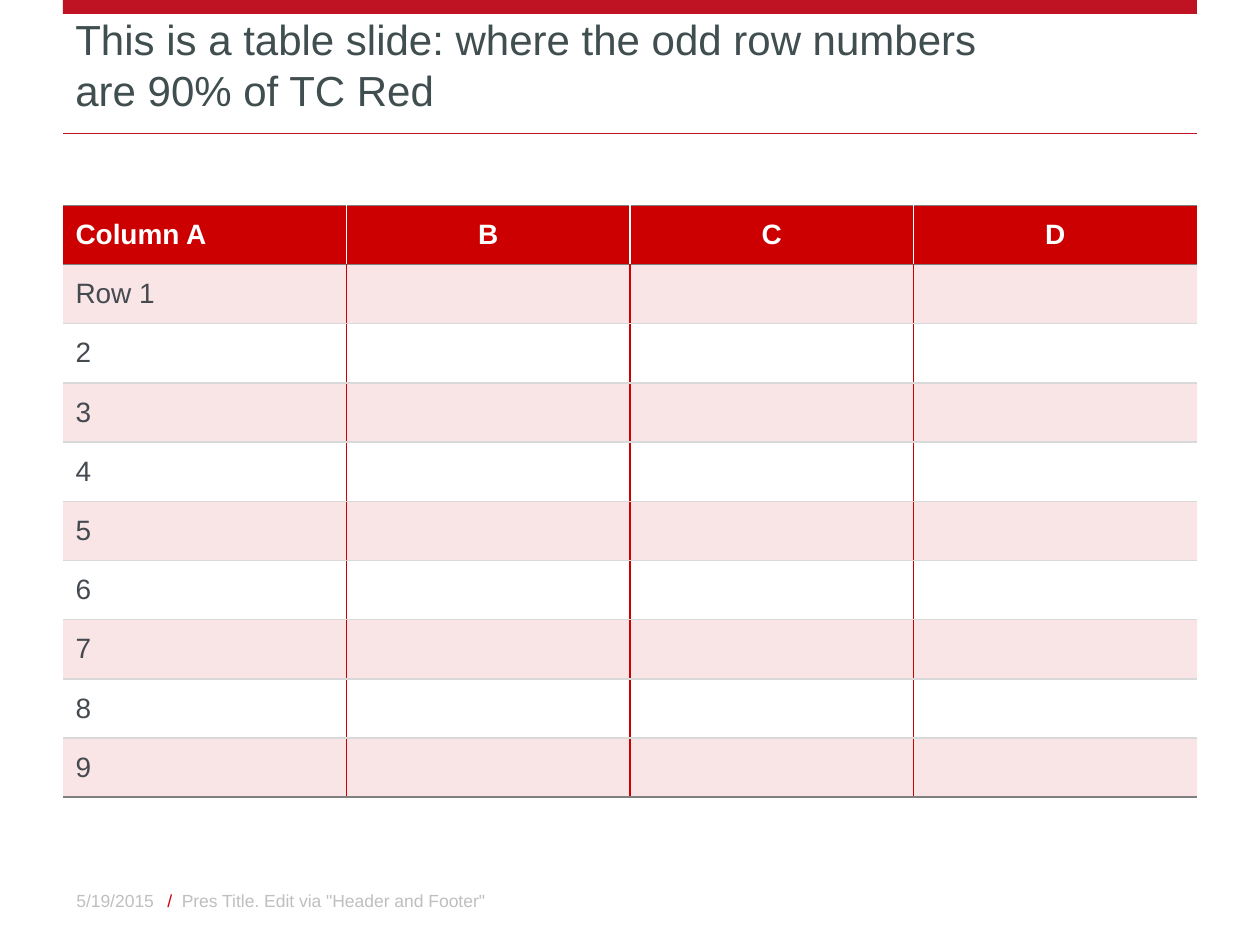
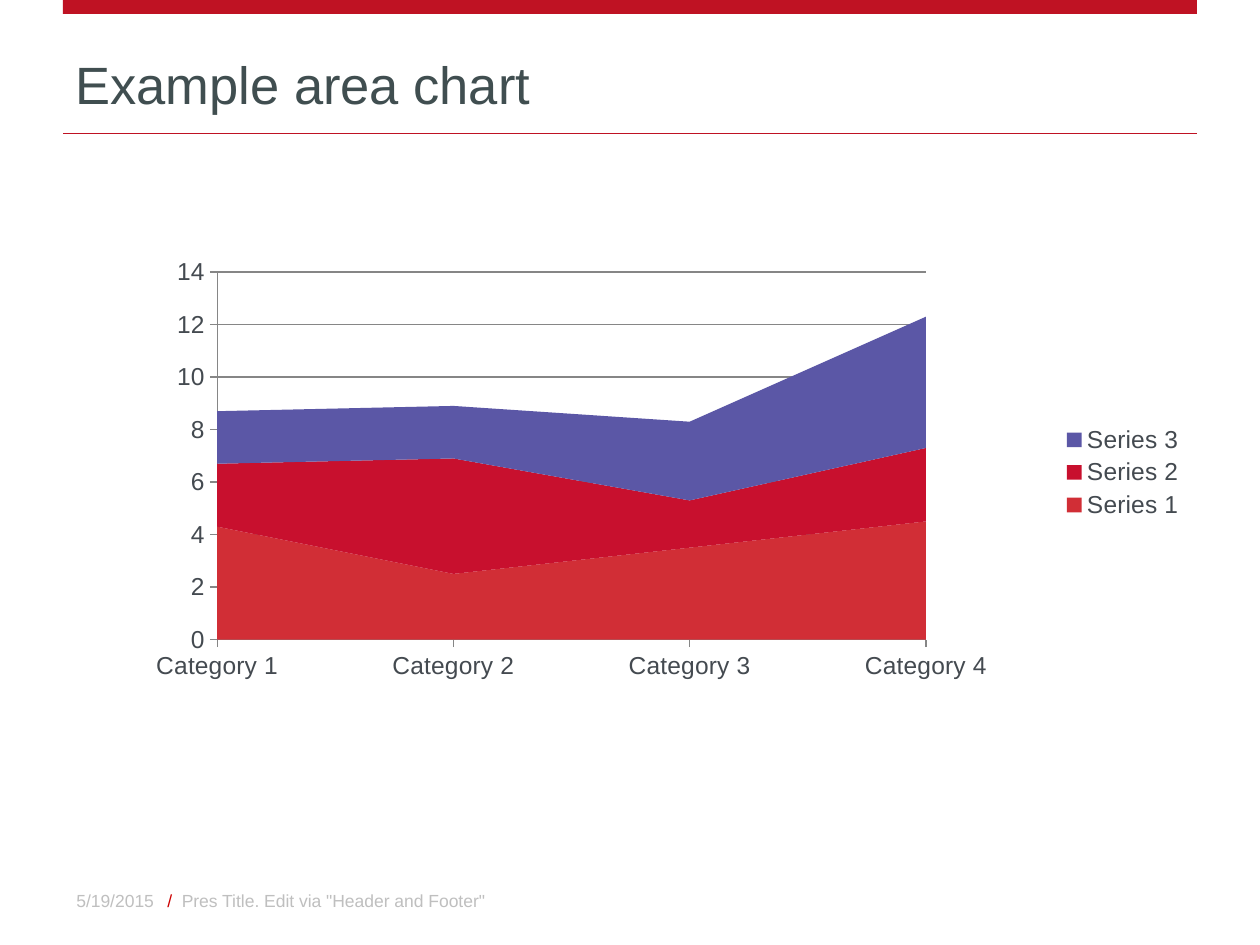
from lxml.etree import SubElement
from pptx import Presentation
from pptx.chart.data import CategoryChartData
from pptx.dml.color import RGBColor
from pptx.enum.chart import XL_CHART_TYPE, XL_LEGEND_POSITION, XL_TICK_MARK
from pptx.enum.shapes import MSO_CONNECTOR, MSO_SHAPE
from pptx.enum.text import MSO_ANCHOR, PP_ALIGN
from pptx.oxml import parse_xml
from pptx.oxml.ns import nsdecls, qn
from pptx.util import Inches, Pt

# Content
TABLE_TITLE = ["This is a table slide: where the odd row numbers", "are 90% of TC Red"]
HEADINGS = ["Column A", "B", "C", "D"]
ROW_LABELS = ["Row 1", "2", "3", "4", "5", "6", "7", "8", "9"]

CHART_TITLE = ["Example area chart"]
CATEGORIES = ["Category 1", "Category 2", "Category 3", "Category 4"]
SERIES = [
    ("Series 1", (4.3, 2.5, 3.5, 4.5), "D12E36"),
    ("Series 2", (2.4, 4.4, 1.8, 2.8), "C8102E"),
    ("Series 3", (2, 2, 3, 5), "5B57A6"),
]
DATE = "5/19/2015"
FOOTER = ["/ ", ' Pres Title. Edit via "Header and Footer"']

# Shared style
FONT = "Arial"
BAND, RED, WHITE = "BF1223", "CC0000", "FFFFFF"
TITLE_GREY, TEXT_GREY, FOOTER_GREY = "404E50", "444A50", "BFBFBF"
RULE_GREY, ROW_GREY, AXIS_GREY = "808080", "D9D9D9", "868686"
LEFT, WIDTH = 0.5, 9
ROW_HEIGHT = 0.47
PLOT = {"x": 0.136, "y": 0.142, "w": 0.625, "h": 0.657}


def color(value):
    return RGBColor.from_string(value)


def set_font(font, size, ink, **extra):
    for name, value in {"name": FONT, "size": Pt(size), **extra}.items():
        setattr(font, name, value)
    font.color.rgb = color(ink)


def paint(fill, value):
    fill.solid()
    fill.fore_color.rgb = color(value)


def add_text(page, area, lines, size, anchor, align=PP_ALIGN.LEFT):
    """Each line is a list of (text, colour) spans."""
    frame = page.shapes.add_textbox(*map(Inches, area)).text_frame
    frame.word_wrap = True
    frame.vertical_anchor = anchor
    para = frame.paragraphs[0]
    para.alignment = align
    for index, spans in enumerate(lines):
        if index:
            para.add_line_break()
        for text, ink in spans:
            span = para.add_run()
            span.text = text
            set_font(span.font, size, ink)


def add_page(deck, title, title_size):
    page = deck.slides.add_slide(deck.slide_layouts[6])
    # Top band and title rule
    band = page.shapes.add_shape(MSO_SHAPE.RECTANGLE, Inches(LEFT), 0, Inches(WIDTH), Inches(0.11))
    band.shadow.inherit = False
    paint(band.fill, BAND)
    band.line.fill.background()
    rule = page.shapes.add_connector(MSO_CONNECTOR.STRAIGHT, Inches(LEFT), Inches(1.06),
                                     Inches(LEFT + WIDTH), Inches(1.06))
    rule.line.color.rgb = color(BAND)
    rule.line.width = Pt(1)
    SubElement(rule._element.spPr, qn("a:effectLst"))
    # Title and footer
    add_text(page, (LEFT, 0.28, WIDTH, 0.68), [[(line, TITLE_GREY)] for line in title],
             title_size, MSO_ANCHOR.BOTTOM)
    add_text(page, (0.16, 6.95, 1.16, 0.4), [[(DATE, FOOTER_GREY)]], 10,
             MSO_ANCHOR.MIDDLE, PP_ALIGN.RIGHT)
    add_text(page, (1.23, 6.95, 3.17, 0.4), [list(zip(FOOTER, (RED, FOOTER_GREY)))], 10,
             MSO_ANCHOR.MIDDLE)
    return page


def set_borders(cell, borders):
    """Borders come before the fill, in the order left, right, top, bottom."""
    properties = cell._tc.get_or_add_tcPr()
    for index, (side, ink) in enumerate(borders.items()):
        fill = f'<a:solidFill><a:srgbClr val="{ink}"/></a:solidFill>' if ink else "<a:noFill/>"
        properties.insert(index, parse_xml(
            f'<a:ln{side} {nsdecls("a")} w="{Pt(1)}">{fill}</a:ln{side}>'))


def add_red_table(page):
    rows, columns = len(ROW_LABELS) + 1, len(HEADINGS)
    table = page.shapes.add_table(rows, columns, Inches(LEFT), Inches(1.63), Inches(WIDTH),
                                  Inches(rows * ROW_HEIGHT)).table
    texts = [HEADINGS] + [[label] + [""] * (columns - 1) for label in ROW_LABELS]
    for r, row in enumerate(texts):
        table.rows[r].height = Inches(ROW_HEIGHT)
        header = r == 0
        for c, text in enumerate(row):
            cell = table.cell(r, c)
            cell.vertical_anchor = MSO_ANCHOR.MIDDLE
            para = cell.text_frame.paragraphs[0]
            para.alignment = PP_ALIGN.CENTER if header and c else PP_ALIGN.LEFT
            set_font(para.font, 16, WHITE if header else TEXT_GREY, bold=header)
            if text:
                span = para.add_run()
                span.text = text
                set_font(span.font, 16, WHITE if header else TEXT_GREY, bold=header)
            # Odd rows carry the red at 10% opacity
            paint(cell.fill, RED if header or r % 2 else WHITE)
            if r % 2:
                tint = cell._tc.tcPr.find(".//" + qn("a:srgbClr"))
                SubElement(tint, qn("a:alpha")).set("val", "10000")
            divider = WHITE if header else RED
            set_borders(cell, {
                "L": divider if c else None,
                "R": divider if c < columns - 1 else None,
                "T": RULE_GREY if r < 2 else ROW_GREY,
                "B": RULE_GREY if r in (0, rows - 1) else ROW_GREY,
            })


def add_area_chart(page):
    data = CategoryChartData()
    data.categories = CATEGORIES
    for name, values, _ in SERIES:
        data.add_series(name, values)
    chart = page.shapes.add_chart(XL_CHART_TYPE.AREA_STACKED, Inches(LEFT), Inches(1.53),
                                  Inches(WIDTH), Inches(4.44), data).chart
    set_font(chart.font, 18, TEXT_GREY)
    for series, (_, _, ink) in zip(chart.plots[0].series, SERIES):
        paint(series.format.fill, ink)
    # Axes, gridlines and legend
    chart.value_axis.has_major_gridlines = True
    chart.category_axis.has_major_gridlines = False
    lines = [chart.value_axis.major_gridlines.format.line]
    for axis in (chart.category_axis, chart.value_axis):
        axis.major_tick_mark = XL_TICK_MARK.OUTSIDE
        axis.minor_tick_mark = XL_TICK_MARK.NONE
        set_font(axis.tick_labels.font, 14, TEXT_GREY)
        lines.append(axis.format.line)
    for line in lines:
        line.color.rgb = color(AXIS_GREY)
        line.width = Pt(0.75)
    chart.has_legend = True
    chart.legend.position = XL_LEGEND_POSITION.RIGHT
    chart.legend.include_in_layout = False
    set_font(chart.legend.font, 14, TEXT_GREY)
    # Fixed inner plot area
    plot_area = chart._chartSpace.chart.plotArea
    for old in plot_area.findall(qn("c:layout")):
        plot_area.remove(old)
    settings = {"layoutTarget": "inner", "xMode": "edge", "yMode": "edge", **PLOT}
    parts = "".join(f'<c:{name} val="{value}"/>' for name, value in settings.items())
    plot_area.insert(0, parse_xml(
        f'<c:layout {nsdecls("c")}><c:manualLayout>{parts}</c:manualLayout></c:layout>'))


def main():
    deck = Presentation()
    deck.slide_width, deck.slide_height = Inches(10), Inches(7.5)
    add_red_table(add_page(deck, TABLE_TITLE, 24))
    add_area_chart(add_page(deck, CHART_TITLE, 30))
    deck.save("out.pptx")


if __name__ == "__main__":
    main()
